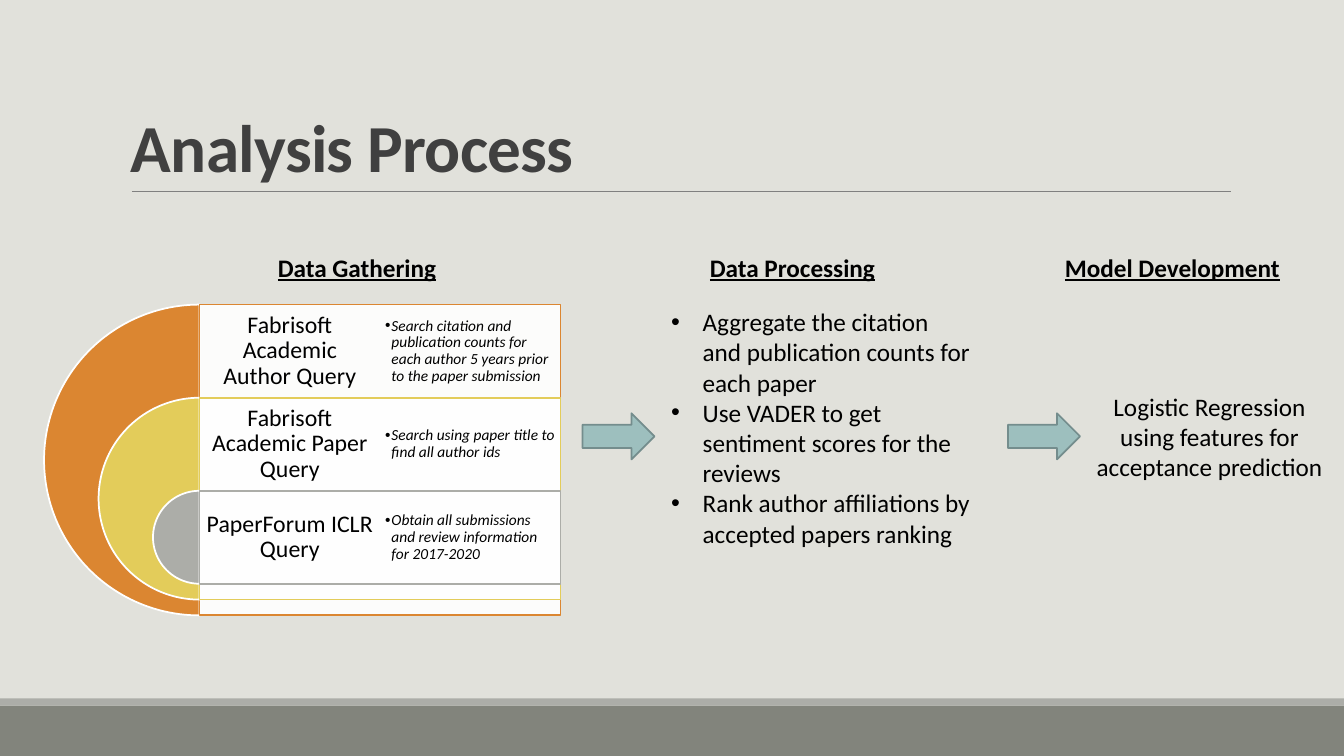
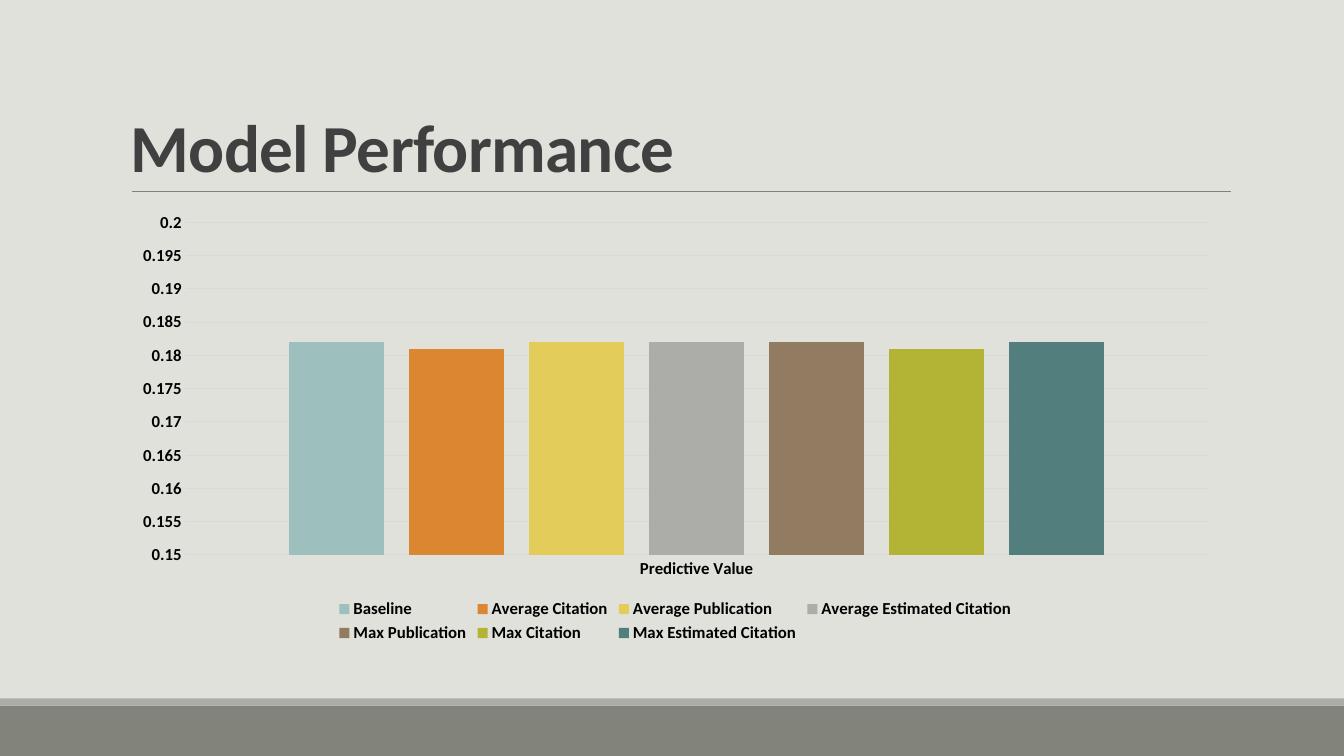
from lxml import etree
from pptx import Presentation
from pptx.chart import data as chart_data
from pptx.dml.color import RGBColor
from pptx.enum import chart as ce, shapes, text
from pptx.oxml import ns
from pptx.util import Pt

# Palette and font
FONT = "Calibri"
BACKGROUND = RGBColor(0xE1, 0xE1, 0xDB)
BAND = RGBColor(0x82, 0x84, 0x7C)
GRAY = RGBColor(0xAC, 0xAD, 0xA8)
RULE = RGBColor(0x80, 0x80, 0x80)
TITLE = RGBColor(0x40, 0x40, 0x40)
BLACK = RGBColor(0, 0, 0)
WHITE = RGBColor(0xFF, 0xFF, 0xFF)
GRID = RGBColor(0xD9, 0xD9, 0xD9)
TEAL = RGBColor(0x9D, 0xBF, 0xBE)
TEAL_EDGE = RGBColor(0x74, 0x8D, 0x8D)
ORANGE = RGBColor(0xDB, 0x86, 0x31)
YELLOW = RGBColor(0xE3, 0xCC, 0x5A)
BROWN = RGBColor(0x92, 0x7C, 0x61)
OLIVE = RGBColor(0xB3, 0xB4, 0x35)
DEEP_TEAL = RGBColor(0x52, 0x7E, 0x7D)

# Content
SLIDE_W, SLIDE_H = 960, 540
QUERIES = [
    ("Fabrisoft Academic Author Query", ORANGE,
     "Search citation and publication counts for each author 5 years prior "
     "to the paper submission"),
    ("Fabrisoft Academic Paper Query", YELLOW,
     "Search using paper title to find all author ids"),
    ("PaperForum ICLR Query", GRAY,
     "Obtain all submissions and review information for 2017-2020"),
]
STAGES = [("Data Gathering", 255), ("Data Processing", 566),
          ("Model Development", 837.4)]  # heading, centre
PROCESSING = [
    "Aggregate the citation and publication counts for each paper",
    "Use VADER to get sentiment scores for the reviews",
    "Rank author affiliations by accepted papers ranking",
]
MODEL = "Logistic Regression using features for acceptance prediction"
ARROW_LEFTS = [416, 720]
SCORES = [
    ("Baseline", 0.182, TEAL),
    ("Average Citation", 0.181, ORANGE),
    ("Average Publication", 0.182, YELLOW),
    ("Average Estimated Citation", 0.182, GRAY),
    ("Max Publication", 0.182, BROWN),
    ("Max Citation", 0.181, OLIVE),
    ("Max Estimated Citation", 0.182, DEEP_TEAL),
]


def style_font(font, size, color=BLACK, bold=False, italic=False, underline=False):
    font.name, font.size = FONT, Pt(size)
    font.color.rgb = color
    font.bold, font.italic, font.underline = bold, italic, underline


def add_text(page, frame, lines, size, align=text.PP_ALIGN.LEFT, spacing=1.0,
             anchor=text.MSO_ANCHOR.TOP, inset=None, indent=0, **style):
    """Add a wrapped text box; a positive indent gives hanging bullets."""
    box = page.shapes.add_textbox(*map(Pt, frame))
    body = box.text_frame
    body.word_wrap = True
    body.vertical_anchor = anchor
    if inset is not None:
        body.margin_left = body.margin_right = Pt(inset)
        body.margin_top = body.margin_bottom = Pt(inset)
    body.text = "\n".join(lines)
    for para in body.paragraphs:
        para.alignment = align
        para.line_spacing = spacing
        style_font(para.font, size, **style)
        if indent:
            props = para._p.get_or_add_pPr()
            props.set("marL", str(Pt(indent)))
            props.set("indent", str(-Pt(indent)))
            bullet_font = etree.Element(ns.qn("a:buFont"), typeface="Arial")
            bullet = etree.Element(ns.qn("a:buChar"), char="•")
            defaults = props.find(ns.qn("a:defRPr"))
            defaults.addprevious(bullet_font)
            defaults.addprevious(bullet)
    return box


def add_shape(page, kind, frame, fill, edge=None):
    shape = page.shapes.add_shape(kind, *map(Pt, frame))
    shape.shadow.inherit = False
    shape.fill.solid()
    shape.fill.fore_color.rgb = fill
    if edge is None:
        shape.line.fill.background()
    else:
        shape.line.color.rgb = edge
        shape.line.width = Pt(1.25)
    return shape


def add_page(deck, title):
    """Start a page with the shared bands, title and rule."""
    page = deck.slides.add_slide(deck.slide_layouts[6])
    for top, height, color in [(504, 36, BAND), (498.8, 5.2, GRAY)]:
        add_shape(page, shapes.MSO_SHAPE.RECTANGLE,
                  (0, top, SLIDE_W, height), color)
    rule = page.shapes.add_connector(shapes.MSO_CONNECTOR.STRAIGHT,
                                     Pt(94.3), Pt(136.6), Pt(879), Pt(136.6))
    rule.line.color.rgb = RULE
    rule.line.width = Pt(0.5)
    etree.SubElement(rule._element.spPr, ns.qn("a:effectLst"))
    box = add_text(page, (86.4, 22.3, 792, 114.5), [title], 48, spacing=0.85,
                   anchor=text.MSO_ANCHOR.BOTTOM, color=TITLE, bold=True)
    span = box.text_frame.paragraphs[0].runs[0]
    span._r.get_or_add_rPr().set("spc", "-50")
    return page


def add_query_rings(page):
    """Nested half discs, each with a panel holding a query and its details."""
    center_x, top, row_h, column_w = 142.5, 217.6, 66.5, 129
    diameter, shrink = 222, 77.8
    middle = text.MSO_ANCHOR.MIDDLE
    for row, (query, color, detail) in enumerate(QUERIES):
        y = top + row * row_h
        size = diameter - row * shrink
        disc = add_shape(page, shapes.MSO_SHAPE.PIE,
                         (center_x - size / 2, y, size, size), color, WHITE)
        disc.adjustments[0], disc.adjustments[1] = 54, 162
        panel = add_shape(page, shapes.MSO_SHAPE.RECTANGLE,
                          (center_x, y, 2 * column_w, size), WHITE, color)
        fill = panel._element.spPr.find(ns.qn("a:solidFill"))
        etree.SubElement(fill[0], ns.qn("a:alpha"), val="90000")
        add_text(page, (center_x, y, column_w, row_h), [query], 17,
                 align=text.PP_ALIGN.CENTER, spacing=0.9, anchor=middle, inset=5)
        add_text(page, (center_x + column_w, y, column_w, row_h), [detail], 11,
                 spacing=0.9, anchor=middle, inset=3.6, indent=4.5, italic=True)


def build_process(deck):
    page = add_page(deck, "Analysis Process")
    add_query_rings(page)
    for left in ARROW_LEFTS:
        add_shape(page, shapes.MSO_SHAPE.RIGHT_ARROW, (left, 295.2, 51.5, 33),
                  TEAL, TEAL_EDGE)
    add_text(page, (472.3, 215.3, 229.7, 203.8), PROCESSING, 18, indent=22.5)
    add_text(page, (768.2, 275.8, 191.5, 72.7), [MODEL], 18,
             align=text.PP_ALIGN.CENTER)
    heading_w = 240
    for heading, center in STAGES:
        add_text(page, (center - heading_w / 2, 176.4, heading_w, 29), [heading],
                 18, align=text.PP_ALIGN.CENTER, bold=True, underline=True)


def build_performance(deck):
    page = add_page(deck, "Model Performance")
    data = chart_data.CategoryChartData()
    data.categories = ["Predictive Value"]
    for name, score, _ in SCORES:
        data.add_series(name, [score])
    chart = page.shapes.add_chart(ce.XL_CHART_TYPE.COLUMN_CLUSTERED,
                                  *map(Pt, (86.4, 145.4, 792, 316.8)), data).chart
    style_font(chart.font, 12, bold=True)
    chart.has_title = False
    chart.has_legend = True
    chart.legend.position = ce.XL_LEGEND_POSITION.BOTTOM
    chart.legend.include_in_layout = False
    style_font(chart.legend.font, 12, bold=True)

    # Columns
    plot = chart.plots[0]
    plot.vary_by_categories = False
    plot.gap_width, plot.overlap = 219, -27
    for series, (_, _, color) in zip(plot.series, SCORES):
        series.format.fill.solid()
        series.format.fill.fore_color.rgb = color

    # Axes
    values, categories = chart.value_axis, chart.category_axis
    for axis in (values, categories):
        axis.major_tick_mark = axis.minor_tick_mark = ce.XL_TICK_MARK.NONE
        style_font(axis.tick_labels.font, 12, bold=True)
    values.minimum_scale, values.maximum_scale = 0.15, 0.2
    values.major_unit = 0.005
    values.format.line.fill.background()
    values.has_major_gridlines = True
    for line in (values.major_gridlines.format.line, categories.format.line):
        line.color.rgb = GRID
        line.width = Pt(0.75)


def main():
    deck = Presentation()
    deck.slide_width, deck.slide_height = Pt(SLIDE_W), Pt(SLIDE_H)
    backdrop = deck.slide_master.background.fill
    backdrop.solid()
    backdrop.fore_color.rgb = BACKGROUND
    build_process(deck)
    build_performance(deck)
    deck.save("out.pptx")


if __name__ == "__main__":
    main()
